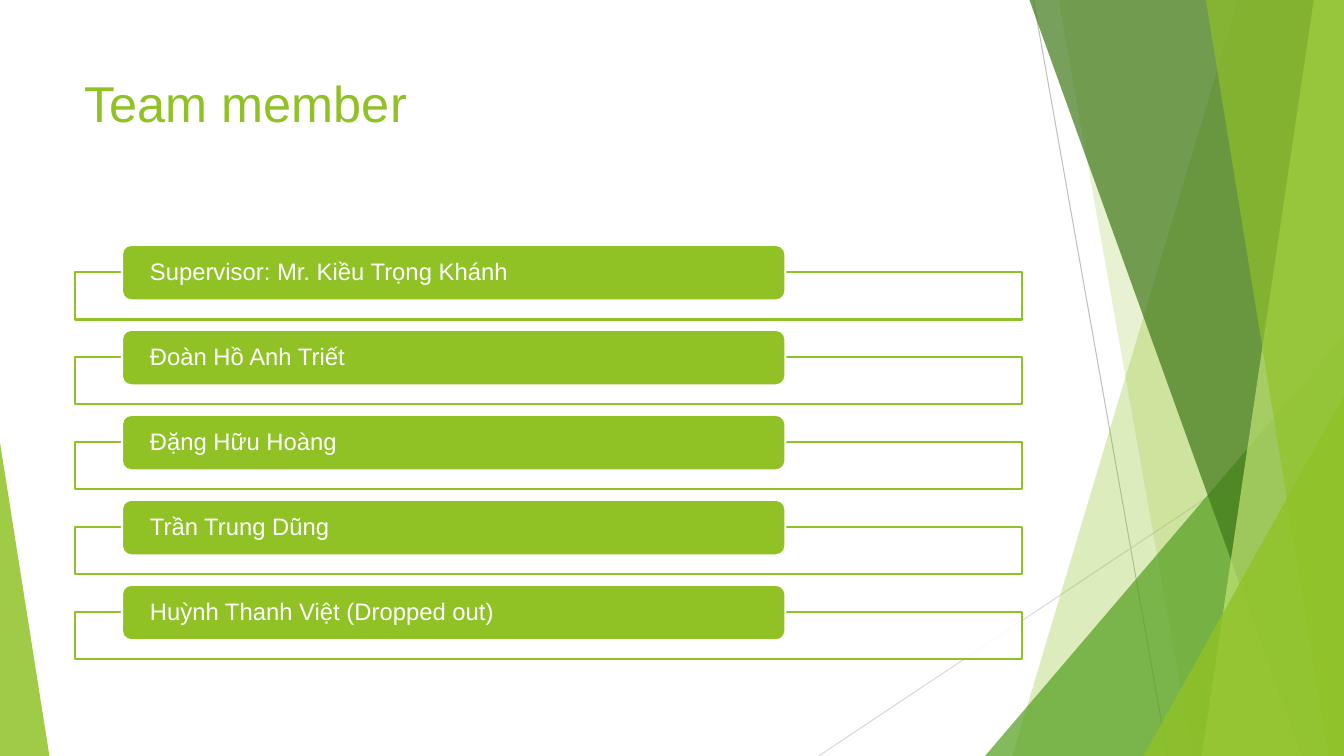
from lxml import etree
from pptx import Presentation
from pptx.dml.color import RGBColor
from pptx.enum.shapes import MSO_CONNECTOR, MSO_SHAPE
from pptx.enum.text import MSO_ANCHOR, PP_ALIGN
from pptx.oxml.ns import qn
from pptx.util import Inches, Pt

RECT, ROUNDED, TRIANGLE = MSO_SHAPE.RECTANGLE, MSO_SHAPE.ROUNDED_RECTANGLE, MSO_SHAPE.ISOSCELES_TRIANGLE
STRAIGHT = MSO_CONNECTOR.STRAIGHT
TOP, MIDDLE, LEFT = MSO_ANCHOR.TOP, MSO_ANCHOR.MIDDLE, PP_ALIGN.LEFT
TITLE_ONLY = 5

TITLE = "Team member"
MEMBERS = [
    "Supervisor: Mr. Kiều Trọng Khánh",
    "Đoàn Hồ Anh Triết",
    "Đặng Hữu Hoàng",
    "Trần Trung Dũng",
    "Huỳnh Thanh Việt (Dropped out)",
]
COLORS = {
    "lime": "90C226", "green": "54A021", "forest": "3F7819", "pale": "C0E474",
    "white": "FFFFFF", "gray": "BFBFBF", "silver": "D9D9D9",
}
FONT = "Arial"
WIDTH, HEIGHT = 13.33, 7.5

# start, end, colour
RAYS = [((10.25, 0), (11.58, HEIGHT), "gray"), ((WIDTH, 4.03), (8.12, HEIGHT), "silver")]
# Bands reach the right edge: x at top, x at bottom, colour, opacity %
# Wedges stand on the bottom edge: left, top, width, apex share, colour, opacity %
FACETS = [
    ("band", 12.28, 10.04, "lime", 30),
    ("band", 10.5, 11.83, "lime", 20),
    ("wedge", 9.77, 3.33, 3.56, 1, "green", 72),
    ("band", 10.21, 12.91, "forest", 70),
    ("band", 13.03, 11.92, "pale", 70),
    ("band", 11.96, 13.18, "lime", 65),
    ("wedge", 11.34, 3.93, 1.99, 1, "lime", 80),
    ("wedge", 0, 4.39, 0.49, 0, "lime", 85),
]

LIST_LEFT, LIST_TOP, LIST_WIDTH = 0.74, 2.43, 9.4
ROW_PITCH = 0.843
FRAME_DROP, FRAME_HEIGHT = 0.27, 0.47
LABEL_INDENT, LABEL_HEIGHT = LIST_WIDTH * 0.05, 0.55
LABEL_WIDTH = LIST_WIDTH * 0.7


def color(name):
    return RGBColor.from_string(COLORS[name])


def paint(shape, fill, opacity=100, line=None):
    shape.shadow.inherit = False
    shape.fill.solid()
    shape.fill.fore_color.rgb = color(fill)
    if opacity < 100:
        tint = shape.fill._xPr.find(qn("a:solidFill"))[0]
        etree.SubElement(tint, qn("a:alpha")).set("val", str(opacity * 1000))
    if line:
        shape.line.color.rgb = color(line)
        shape.line.width = Pt(1.5)
    else:
        shape.line.fill.background()


def add_box(slide, kind, left, top, width, height):
    return slide.shapes.add_shape(kind, *map(Inches, (left, top, width, height)))


def write(shape, text, size, ink, anchor=MIDDLE, inset=0.1, spacing=1.0):
    frame = shape.text_frame
    frame.word_wrap = True
    frame.vertical_anchor = anchor
    frame.margin_left = frame.margin_right = Inches(inset)
    paragraph = frame.paragraphs[0]
    paragraph.alignment = LEFT
    paragraph.line_spacing = spacing
    run = paragraph.add_run()
    run.text = text
    run.font.name, run.font.size = FONT, Pt(size)
    run.font.color.rgb = color(ink)


def add_ray(slide, start, end, tone):
    ray = slide.shapes.add_connector(STRAIGHT, *map(Inches, start + end))
    ray.line.color.rgb = color(tone)
    ray.line.width = Pt(0.75)
    etree.SubElement(ray._element.spPr, qn("a:effectLst"))


def add_band(slide, top_x, bottom_x, tone, opacity):
    corners = [(top_x, 0), (WIDTH, 0), (WIDTH, HEIGHT), (bottom_x, HEIGHT)]
    points = [(Inches(x), Inches(y)) for x, y in corners]
    outline = slide.shapes.build_freeform(*points[0])
    outline.add_line_segments(points[1:], close=True)
    paint(outline.convert_to_shape(), tone, opacity)


def add_wedge(slide, left, top, width, apex, tone, opacity):
    wedge = add_box(slide, TRIANGLE, left, top, width, HEIGHT - top)
    wedge.adjustments[0] = apex
    paint(wedge, tone, opacity)


def add_member(slide, row, name):
    top = LIST_TOP + row * ROW_PITCH
    frame = add_box(slide, RECT, LIST_LEFT, top + FRAME_DROP, LIST_WIDTH, FRAME_HEIGHT)
    paint(frame, "white", 90, line="lime")
    label = add_box(slide, ROUNDED, LIST_LEFT + LABEL_INDENT, top, LABEL_WIDTH, LABEL_HEIGHT)
    paint(label, "lime", line="white")
    write(label, name, size=17, ink="white", inset=0.25, spacing=0.9)


def main():
    deck = Presentation()
    deck.slide_width, deck.slide_height = Inches(WIDTH), Inches(HEIGHT)
    slide = deck.slides.add_slide(deck.slide_layouts[TITLE_ONLY])

    for ray in RAYS:
        add_ray(slide, *ray)
    builders = {"band": add_band, "wedge": add_wedge}
    for kind, *facet in FACETS:
        builders[kind](slide, *facet)

    title = slide.shapes.title
    title.left, title.top = Inches(LIST_LEFT), Inches(0.67)
    title.width, title.height = Inches(LIST_WIDTH), Inches(1.44)
    write(title, TITLE, size=36, ink="lime", anchor=TOP)

    for row, name in enumerate(MEMBERS):
        add_member(slide, row, name)
    deck.save("out.pptx")


if __name__ == "__main__":
    main()
